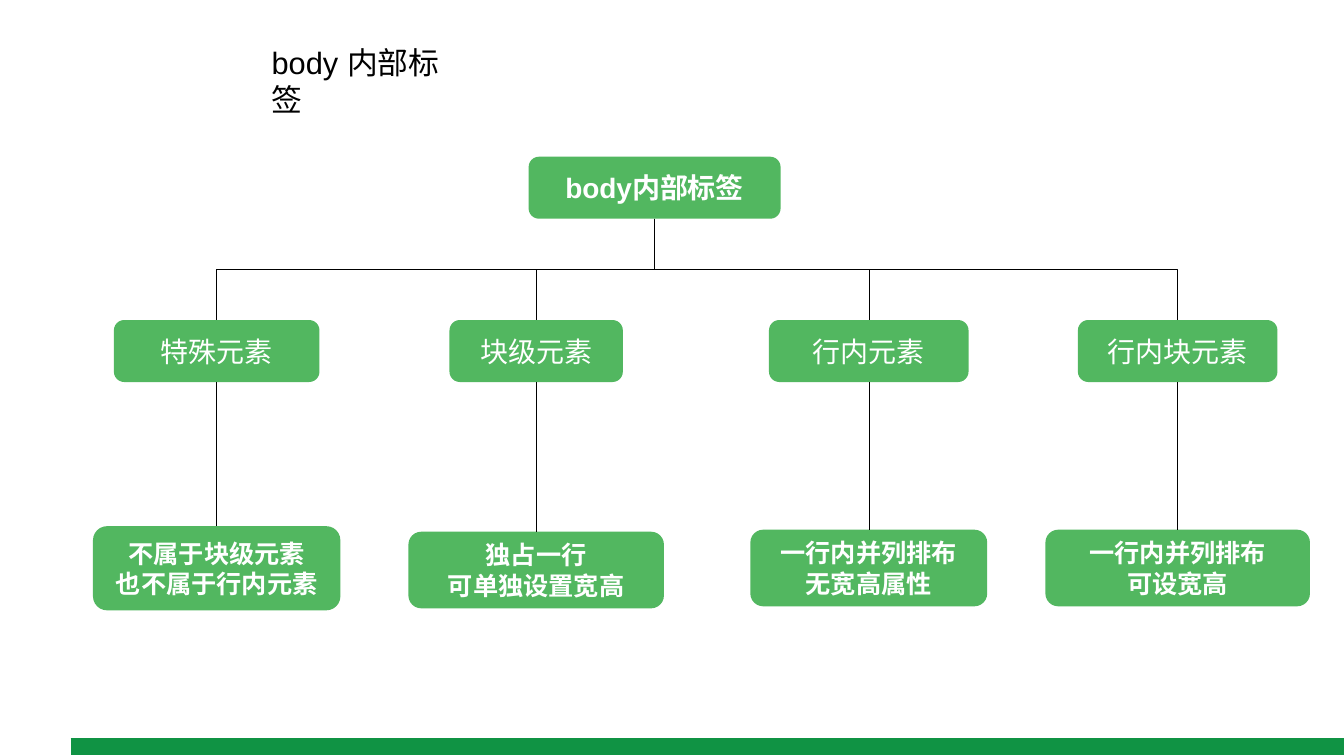
from lxml.etree import SubElement
from pptx import Presentation
from pptx.dml.color import RGBColor
from pptx.enum.shapes import MSO_CONNECTOR, MSO_SHAPE
from pptx.enum.text import MSO_ANCHOR, MSO_AUTO_SIZE, PP_ALIGN
from pptx.oxml.ns import qn
from pptx.util import Inches, Pt

SLIDE_WIDTH, SLIDE_HEIGHT = 26.67, 15
FONT = "Arial"
GREEN, DARK_GREEN, BLACK, WHITE = "52B760", "109344", "000000", "FFFFFF"
TITLE = "body 内部标签"
ROOT = {"lines": ["body内部标签"], "center": 12.99, "width": 5}
ROOT_TOP, CATEGORY_TOP, NODE_HEIGHT = 3.11, 6.35, 1.23
BRANCHES = [
    {"center": 4.3, "category": "特殊元素", "category_width": 4.08,
     "details": ["不属于块级元素", "也不属于行内元素"],
     "detail_width": 4.91, "detail_top": 10.44, "detail_height": 1.67},
    {"center": 10.64, "category": "块级元素", "category_width": 3.44,
     "details": ["独占一行", "可单独设置宽高"],
     "detail_width": 5.07, "detail_top": 10.55, "detail_height": 1.52},
    {"center": 17.24, "category": "行内元素", "category_width": 3.96,
     "details": ["一行内并列排布", "无宽高属性"],
     "detail_width": 4.7, "detail_top": 10.51, "detail_height": 1.52},
    {"center": 23.37, "category": "行内块元素", "category_width": 3.96,
     "details": ["一行内并列排布", "可设宽高"],
     "detail_width": 5.25, "detail_top": 10.51, "detail_height": 1.52},
]


def color(value):
    return RGBColor.from_string(value)


def write(frame, lines, size, ink, bold, alignment):
    for index, line in enumerate(lines):
        para = frame.add_paragraph() if index else frame.paragraphs[0]
        para.alignment = alignment
        span = para.add_run()
        span.text = line
        span.font.name = FONT
        span.font.size = Pt(size)
        span.font.bold = bold
        span.font.color.rgb = color(ink)


def add_title(page):
    title = page.shapes.title
    title.left, title.top = Inches(5.29), Inches(0.81)
    title.width, title.height = Inches(4.14), Inches(0.84)
    frame = title.text_frame
    frame.word_wrap = True
    frame.auto_size = MSO_AUTO_SIZE.NONE
    frame.vertical_anchor = MSO_ANCHOR.TOP
    write(frame, [TITLE], 44, BLACK, False, PP_ALIGN.LEFT)


def add_node(page, lines, center, top, width, height, size, bold):
    node = page.shapes.add_shape(
        MSO_SHAPE.ROUNDED_RECTANGLE, Inches(center - width / 2), Inches(top),
        Inches(width), Inches(height))
    node.shadow.inherit = False
    node.fill.solid()
    node.fill.fore_color.rgb = color(GREEN)
    node.line.fill.background()
    frame = node.text_frame
    frame.word_wrap = True
    frame.vertical_anchor = MSO_ANCHOR.MIDDLE
    write(frame, lines, size, WHITE, bold, PP_ALIGN.CENTER)
    return node


def add_line(page, kind, start, end, ink, weight):
    line = page.shapes.add_connector(kind, *start, *end)
    line.line.color.rgb = color(ink)
    line.line.width = Pt(weight)
    SubElement(line._element.spPr, qn("a:effectLst"))
    return line


def join(page, parent, child, kind):
    start = (parent.left + parent.width // 2, parent.top + parent.height)
    end = (child.left + child.width // 2, child.top)
    line = add_line(page, kind, start, end, BLACK, 0.75)
    line.begin_connect(parent, 2)
    line.end_connect(child, 0)
    if kind == MSO_CONNECTOR.ELBOW:
        run, drop = end[0] - start[0], end[1] - start[1]
        line.width, line.height = drop, abs(run)
        line.left = (start[0] + end[0] - drop) // 2
        line.top = (start[1] + end[1] - abs(run)) // 2
        frame = line._element.spPr.xfrm
        frame.rot = 90
        frame.flipH = False
        frame.flipV = run > 0


def main():
    deck = Presentation()
    deck.slide_width, deck.slide_height = Inches(SLIDE_WIDTH), Inches(SLIDE_HEIGHT)
    page = deck.slides.add_slide(deck.slide_layouts[5])
    add_line(page, MSO_CONNECTOR.STRAIGHT, (Inches(1.4), Inches(14.81)),
             (deck.slide_width, Inches(14.81)), DARK_GREEN, 25)
    add_title(page)
    root = add_node(page, ROOT["lines"], ROOT["center"], ROOT_TOP,
                    ROOT["width"], NODE_HEIGHT, 40, True)
    for branch in BRANCHES:
        category = add_node(page, [branch["category"]], branch["center"], CATEGORY_TOP,
                            branch["category_width"], NODE_HEIGHT, 40, False)
        detail = add_node(page, branch["details"], branch["center"], branch["detail_top"],
                          branch["detail_width"], branch["detail_height"], 36, True)
        join(page, root, category, MSO_CONNECTOR.ELBOW)
        join(page, category, detail, MSO_CONNECTOR.STRAIGHT)
    deck.save("out.pptx")


if __name__ == "__main__":
    main()
